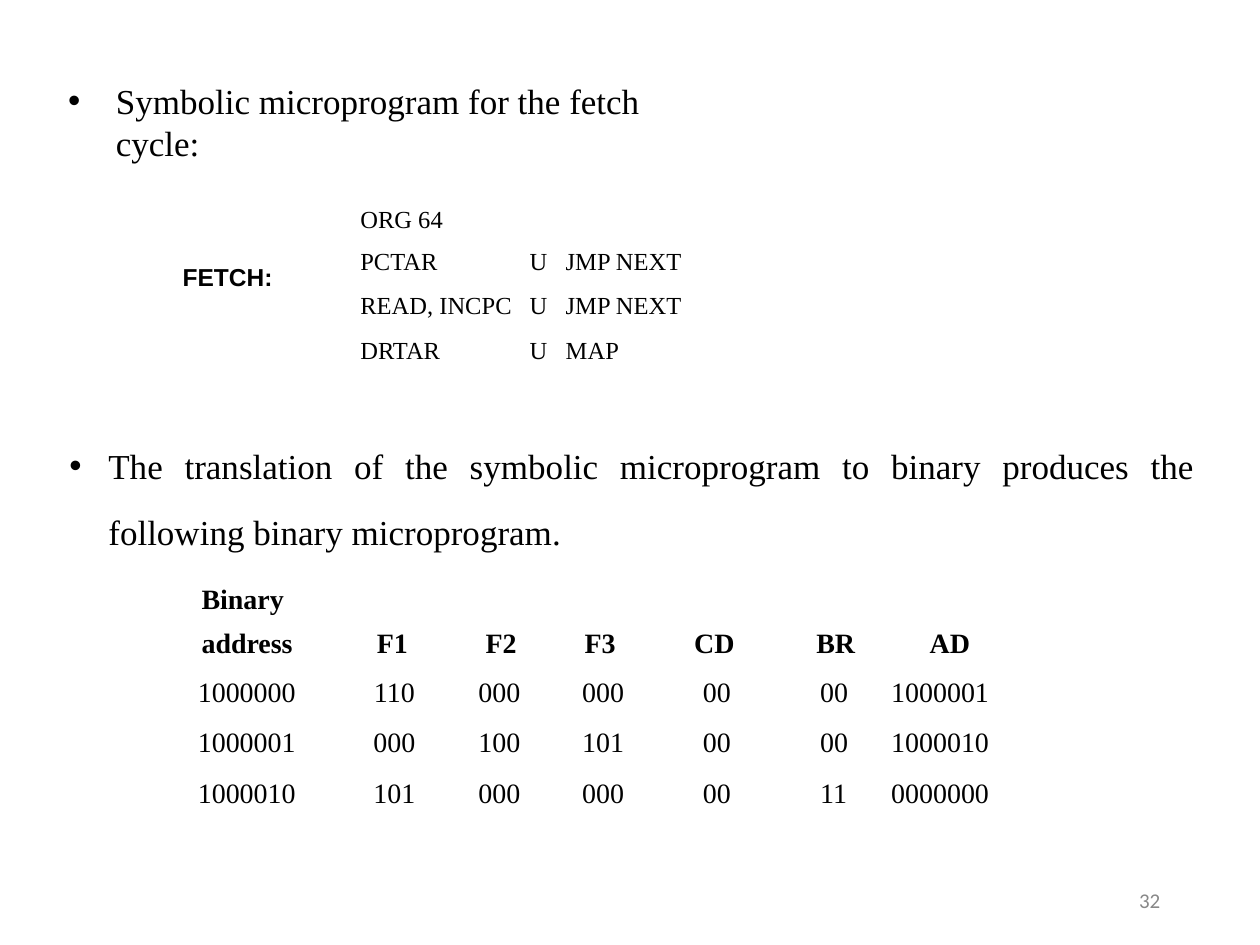
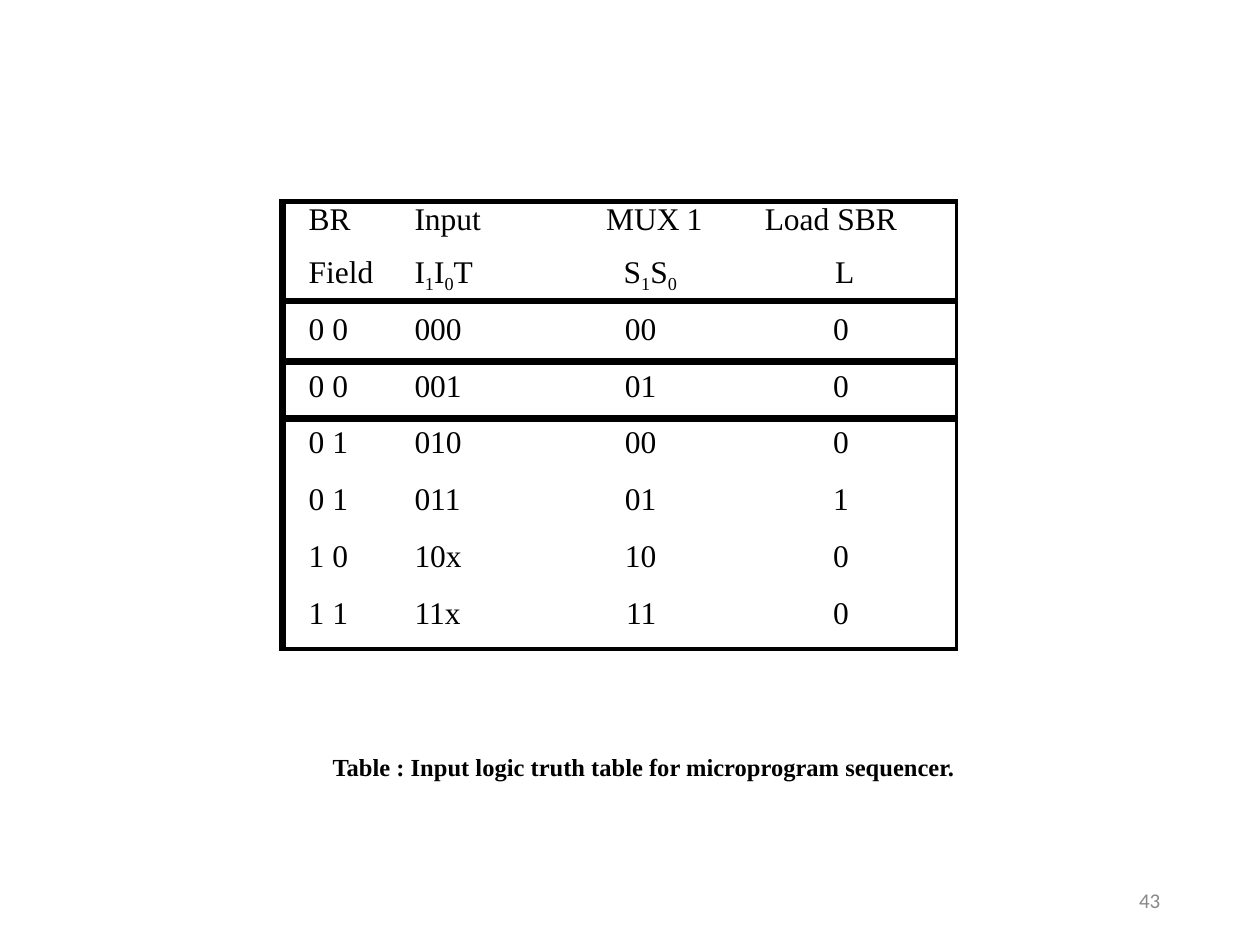
from dataclasses import dataclass

import pptx
import pptx.dml.color
import pptx.enum.text
import pptx.oxml
import pptx.oxml.ns
import pptx.util

EMU_PER_PX = 9144  # 100 px to the inch
ALIGN = pptx.enum.text.PP_ALIGN
NO_GRID_STYLE = "{2D5ABB26-0587-4C30-8999-92F81FD0307C}"
BLACK, GRAY = "000000", "888888"
SERIF, SANS, NUMBER_FONT = "Times New Roman", "Arial", "Calibri"
THICK, MEDIUM, THIN = 4.25, 3, 2.25


@dataclass(frozen=True)
class TextStyle:
    size: int
    font: str = SERIF
    color: str = BLACK
    bold: bool = False


@dataclass(frozen=True)
class Place:
    """Alignment and side margins of a paragraph."""
    align: ALIGN = ALIGN.LEFT
    left: int = 0
    right: int = 0
    bullet_hang: int = 0


@dataclass(frozen=True)
class Box:
    left: int
    top: int
    width: int
    height: int


@dataclass(frozen=True)
class Column:
    """Column width, with the place of body text and of each header line."""
    width: int
    body: Place
    header: tuple[Place, ...]


@dataclass(frozen=True)
class Row:
    """A row with fewer texts than columns merges its last cell to the end."""
    height: int
    top_margin: int
    texts: tuple[str, ...]
    leading: float | None = None


BODY = TextStyle(20)
CODE = TextStyle(14)
LABEL = TextStyle(14, SANS, bold=True)
CAPTION = TextStyle(14, bold=True)
BINARY = TextStyle(16)
BINARY_HEADER = TextStyle(16, bold=True)
TRUTH = TextStyle(18)
PAGE_NUMBER = TextStyle(12, NUMBER_FONT, GRAY)

CODE_COLUMNS = (
    Column(130, Place(left=3), (Place(left=3),)),
    Column(29, Place(ALIGN.CENTER), (Place(),)),
    Column(112, Place(left=7), (Place(),)),
)
CODE_ROWS = (
    Row(28, 0, ("ORG 64",), 15.3),
    Row(35, 5, ("PCTAR", "U", "JMP NEXT")),
    Row(35, 5, ("READ, INCPC", "U", "JMP NEXT")),
    Row(28, 5, ("DRTAR", "U", "MAP"), 16.1),
)

BINARY_COLUMNS = (
    Column(112, Place(left=3), (Place(left=6),)),
    Column(88, Place(ALIGN.CENTER, 6), (Place(ALIGN.CENTER, 3),)),
    Column(83, Place(ALIGN.RIGHT, right=24), (Place(ALIGN.RIGHT, right=27),)),
    Column(86, Place(left=25), (Place(left=27),)),
    Column(92, Place(ALIGN.RIGHT, right=35), (Place(ALIGN.RIGHT, right=32),)),
    Column(77, Place(left=36), (Place(left=33),)),
    Column(96, Place(ALIGN.RIGHT, right=3), (Place(left=46),)),
)
BINARY_ROWS = (
    Row(33, 0, ("address", "F1", "F2", "F3", "CD", "BR", "AD"), 17.4),
    Row(40, 6, ("1000000", "110", "000", "000", "00", "00", "1000001")),
    Row(40, 5, ("1000001", "000", "100", "101", "00", "00", "1000010")),
    Row(32, 5, ("1000010", "101", "000", "000", "00", "11", "0000000"), 18.4),
)

TRUTH_COLUMNS = (
    Column(89, Place(left=21), (Place(left=21),) * 2),
    Column(118, Place(left=16), (Place(left=16),) * 2),
    Column(111, Place(ALIGN.RIGHT, right=21), (Place(left=50), Place(left=64))),
    Column(40, Place(ALIGN.CENTER, 34), (Place(left=3),)),
    Column(177, Place(), (Place(left=25), Place(ALIGN.CENTER))),
)
TRUTH_ROWS = (
    Row(79, 0, ("BR\nField", "Input\nI_1I_0T", "MUX\nS_1S_0", "1",
                "Load SBR\nL"), 20.2),
    Row(48, 9, ("0 0", "000", "00", "0")),
    Row(45, 6, ("0 0", "001", "01", "0")),
    Row(45, 6, ("0 1", "010", "00", "0")),
    Row(45, 6, ("0 1", "011", "01", "1")),
    Row(45, 6, ("1 0", "10x", "10", "0")),
    Row(48, 6, ("1 1", "11x", "11", "0")),
)
TRUTH_RULES = (MEDIUM, THICK, THICK, None, None, None, None, THIN)


def px(length: int) -> pptx.util.Emu:
    return pptx.util.Emu(length * EMU_PER_PX)


def rgb(color: str) -> pptx.dml.color.RGBColor:
    return pptx.dml.color.RGBColor.from_string(color)


def set_all(target, values: dict) -> None:
    for name, value in values.items():
        setattr(target, name, value)


def xml_element(tag_xml: str):
    return pptx.oxml.parse_xml(
        tag_xml.replace("{ns}", pptx.oxml.ns.nsdecls("a")))


def add_run(paragraph, text: str, style: TextStyle, subscript: bool = False) -> None:
    if not text:
        return
    run = paragraph.add_run()
    run.text = text
    set_all(run.font, {"name": style.font, "bold": style.bold,
                       "size": pptx.util.Pt(style.size)})
    run.font.color.rgb = rgb(style.color)
    if subscript:
        run._r.get_or_add_rPr().set("baseline", "-21000")


def write_paragraph(paragraph, text: str, style: TextStyle, place: Place,
                    **spacing) -> None:
    """Write text; the letter after each underscore becomes a subscript."""
    properties = paragraph._p.get_or_add_pPr()
    for name, value in {"marL": place.left, "marR": place.right,
                        "indent": -place.bullet_hang}.items():
        properties.set(name, str(px(value)))
    if place.bullet_hang:
        properties.append(xml_element('<a:buFont {ns} typeface="Arial"/>'))
        properties.append(xml_element('<a:buChar {ns} char="•"/>'))
    set_all(paragraph, {"alignment": place.align, **spacing})
    plain, *marked = text.split("_")
    add_run(paragraph, plain, style)
    for part in marked:
        add_run(paragraph, part[0], style, subscript=True)
        add_run(paragraph, part[1:], style)


def add_text(slide, box: Box, text: str, style: TextStyle, place: Place,
             top_margin: int = 1, wrap: bool = False, **spacing):
    shape = slide.shapes.add_textbox(
        px(box.left), px(box.top), px(box.width), px(box.height))
    frame = shape.text_frame
    set_all(frame, {"margin_left": 0, "margin_right": 0, "margin_bottom": 0,
                    "margin_top": px(top_margin), "word_wrap": wrap})
    write_paragraph(frame.paragraphs[0], text, style, place, **spacing)
    return frame


def fill_cell(cell, row: Row, text: str, style: TextStyle,
              places: tuple[Place, ...]) -> None:
    set_all(cell, {"margin_left": 0, "margin_right": 0, "margin_bottom": 0,
                   "margin_top": px(row.top_margin)})
    frame = cell.text_frame
    for index, (line, place) in enumerate(zip(text.split("\n"), places)):
        if index:
            write_paragraph(frame.add_paragraph(), line, style, place,
                            space_before=pptx.util.Pt(10.8))
        else:
            leading = pptx.util.Pt(row.leading) if row.leading else None
            write_paragraph(frame.paragraphs[0], line, style, place,
                            line_spacing=leading)


def add_grid(slide, left: int, top: int, columns: tuple[Column, ...],
             rows: tuple[Row, ...], style: TextStyle, header_style: TextStyle):
    shape = slide.shapes.add_table(
        len(rows), len(columns), px(left), px(top),
        px(sum(column.width for column in columns)),
        px(sum(row.height for row in rows)))
    table = shape.table
    set_all(table, {"first_row": False, "horz_banding": False})
    table._tbl.tblPr.find(pptx.oxml.ns.qn("a:tableStyleId")).text = NO_GRID_STYLE
    for index, column in enumerate(columns):
        table.columns[index].width = px(column.width)
    for row_index, row in enumerate(rows):
        table.rows[row_index].height = px(row.height)
        last = len(row.texts) - 1
        if last < len(columns) - 1:
            table.cell(row_index, last).merge(
                table.cell(row_index, len(columns) - 1))
        for index, (text, column) in enumerate(zip(row.texts, columns)):
            places = (column.body,) if row_index else column.header
            fill_cell(table.cell(row_index, index), row, text,
                      style if row_index else header_style, places)
    for cell in table.iter_cells():
        cell.fill.background()
    return table


def rule_table(table, rules: tuple[float | None, ...]) -> None:
    """Draw the side borders and the horizontal rules, listed from top down."""
    last = len(table.columns) - 1
    for row_index in range(len(table.rows)):
        for index in range(last + 1):
            cell = table.cell(row_index, index)
            at_right = index == last or cell.is_merge_origin
            edges = {"lnL": THICK if index == 0 else None,
                     "lnR": THIN if at_right else None,
                     "lnT": rules[row_index], "lnB": rules[row_index + 1]}
            lines = [
                xml_element(f'<a:{tag} {{ns}} w="{pptx.util.Pt(width)}"><a:solidFill>'
                            f'<a:srgbClr val="{BLACK}"/></a:solidFill></a:{tag}>')
                for tag, width in edges.items() if width]
            properties = cell._tc.get_or_add_tcPr()
            for line in reversed(lines):
                properties.insert(0, line)


def add_numbered_slide(presentation, number: int):
    slide = presentation.slides.add_slide(presentation.slide_layouts[6])
    add_text(slide, Box(900, 707, 25, 20), str(number), PAGE_NUMBER,
             Place(left=4), top_margin=0, line_spacing=pptx.util.Pt(12.4))
    return slide


def build_fetch_slide(presentation) -> None:
    slide = add_numbered_slide(presentation, 32)
    add_text(slide, Box(53, 62, 527, 36),
             "Symbolic microprogram for the fetch cycle:", BODY,
             Place(left=39, bullet_hang=38))
    add_text(slide, Box(144, 207, 74, 26), "FETCH:", LABEL, Place(left=1))
    add_grid(slide, 283, 164, CODE_COLUMNS, CODE_ROWS, CODE, CODE)
    frame = add_text(
        slide, Box(53, 333, 895, 152),
        "The translation of the symbolic microprogram to binary produces the "
        "following binary microprogram.", BODY,
        Place(ALIGN.JUSTIFY, left=33, bullet_hang=31), wrap=True,
        line_spacing=1.57)
    write_paragraph(frame.add_paragraph(), "Binary", BINARY_HEADER,
                    Place(left=107), space_before=pptx.util.Pt(16.4))
    add_grid(slide, 154, 499, BINARY_COLUMNS, BINARY_ROWS, BINARY, BINARY_HEADER)


def build_truth_table_slide(presentation) -> None:
    slide = add_numbered_slide(presentation, 43)
    table = add_grid(slide, 224, 160, TRUTH_COLUMNS, TRUTH_ROWS, TRUTH, TRUTH)
    rule_table(table, TRUTH_RULES)
    add_text(slide, Box(263, 596, 500, 26),
             "Table : Input logic truth table for microprogram sequencer.",
             CAPTION, Place(left=1))


def main() -> None:
    presentation = pptx.Presentation()
    set_all(presentation, {"slide_width": px(1000), "slide_height": px(750)})
    build_fetch_slide(presentation)
    build_truth_table_slide(presentation)
    presentation.save("out.pptx")


if __name__ == "__main__":
    main()
